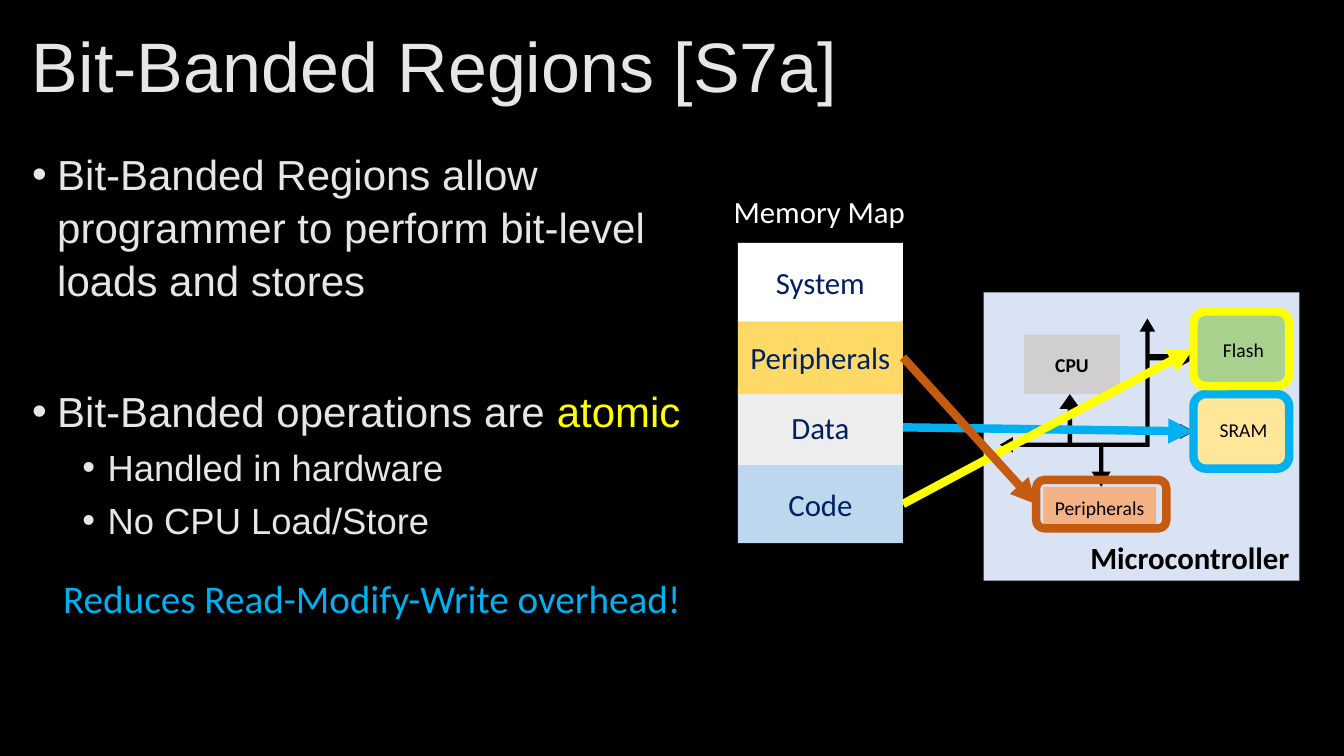
import pptx
import pptx.util
import pptx.dml.color
import pptx.enum.shapes
import pptx.enum.text
import pptx.oxml.ns
import lxml.etree

Pt = pptx.util.Pt
SHAPE = pptx.enum.shapes.MSO_SHAPE
ALIGN = pptx.enum.text.PP_ALIGN
ANCHOR = pptx.enum.text.MSO_ANCHOR
qn = pptx.oxml.ns.qn
SKY, YELLOW, RUST = "00B0F0", "FFFF00", "C55A11"
BLACK, NAVY, LIGHT = "000000", "002060", "E7E6E6"


def color(hex_string):
    return pptx.dml.color.RGBColor.from_string(hex_string)


def style_runs(para, size, hex_string, font="Calibri", bold=False):
    for span in para.runs:
        span.font.name = font
        span.font.size = Pt(size)
        span.font.bold = bold
        span.font.color.rgb = color(hex_string)


def add_text(page, box, text, size, hex_string, font="Calibri", wrap=True):
    frame = page.shapes.add_textbox(*map(Pt, box)).text_frame
    frame.word_wrap = wrap
    frame.text = text
    style_runs(frame.paragraphs[0], size, hex_string, font)
    return frame


def add_block(page, kind, box, fill, adjustments=(), rotation=0):
    shape = page.shapes.add_shape(kind, *map(Pt, box))
    shape.shadow.inherit = False
    shape.line.fill.background()
    shape.fill.solid()
    shape.fill.fore_color.rgb = color(fill)
    for index, value in enumerate(adjustments):
        shape.adjustments[index] = value
    shape.rotation = rotation
    return shape


def label(shape, text, size, hex_string, bold=False, align=ALIGN.CENTER, anchor=ANCHOR.MIDDLE):
    frame = shape.text_frame
    frame.text = text
    frame.vertical_anchor = anchor
    frame.paragraphs[0].alignment = align
    style_runs(frame.paragraphs[0], size, hex_string, bold=bold)


def add_frame(page, box, hex_string):
    frame = add_block(page, SHAPE.ROUNDED_RECTANGLE, box, BLACK)
    frame.fill.background()
    frame.line.color.rgb = color(hex_string)
    frame.line.width = Pt(6)
    return frame


def add_title(page, box):
    frame = add_text(page, box, "Bit-Banded Regions [S7a]", 50, LIGHT, "Arial")
    frame.vertical_anchor = ANCHOR.MIDDLE
    frame.paragraphs[0].line_spacing = 0.9


def add_bullets(page, box):
    lines = [
        ("Bit-Banded Regions allow programmer to perform bit-level loads and stores", 30, 18, 0),
        ("Bit-Banded operations are ", 30, 18, 56),
        ("Handled in hardware", 26, 54, 5),
        ("No CPU Load/Store", 26, 54, 5),
    ]
    frame = add_text(page, box, "\n".join(line[0] for line in lines), 30, LIGHT, "Arial")
    for para, (text, size, margin, space) in zip(frame.paragraphs, lines):
        para.line_spacing = 1.05
        para.space_before = Pt(space)
        style_runs(para, size, LIGHT, "Arial")
        properties = para._p.get_or_add_pPr()
        properties.set("marL", str(Pt(margin)))
        properties.set("indent", str(-Pt(18)))
        lxml.etree.SubElement(properties, qn("a:buFont")).set("typeface", "Arial")
        lxml.etree.SubElement(properties, qn("a:buChar")).set("char", "•")
    atomic = frame.paragraphs[1].add_run()
    atomic.text = "atomic"
    atomic.font.name = "Arial"
    atomic.font.size = Pt(30)
    atomic.font.color.rgb = color(YELLOW)


def add_memory_map(page, box):
    left, top, width = box
    add_text(page, (left - 10, top - 39.5, 138, 34), "Memory Map", 22, "FFFFFF", wrap=False)
    regions = {}
    for name, offset, height, fill in [
        ("Code", 158.5, 56, "BDD7EE"),
        ("Data", 105, 53.5, "EDEDED"),
        ("Peripherals", 55.5, 52.5, "FFD966"),
        ("System", 0, 56, "FFFFFF"),
    ]:
        region = add_block(page, SHAPE.RECTANGLE, (left, top + offset, width, height), fill)
        label(region, name, 22, NAVY)
        regions[name] = region
    return regions


def add_microcontroller(page, box):
    left, top, width, height = box

    def inside(x, y, part_width, part_height):
        return left + x, top + y, part_width, part_height

    board = add_block(page, SHAPE.RECTANGLE, box, "DAE3F3")
    label(board, "Microcontroller", 22, BLACK, True, ALIGN.RIGHT, ANCHOR.BOTTOM)
    for kind, part, adjustments, rotation in [
        (SHAPE.LEFT_UP_ARROW, (11.5, 18.7, 111, 95.8), (0.032, 0.058, 0.098), 0),
        (SHAPE.UP_ARROW, (54, 72.7, 15, 36.7), (0.222, 0.708), 0),
        (SHAPE.UP_ARROW, (129, 28.8, 11.5, 35.3), (0.382, 0.936), 90),
        (SHAPE.UP_ARROW, (128.2, 82.8, 10.8, 33.1), (0.382, 0.936), 90),
        (SHAPE.UP_ARROW, (77, 109.4, 13.7, 29.5), (0.222, 0.795), 180),
    ]:
        add_block(page, kind, inside(*part), BLACK, adjustments, rotation)
    for name, part, fill in [
        ("Flash", (152, 15.8, 67, 50.4), "A9D18E"),
        ("SRAM", (152, 72.7, 67, 50.4), "FFE699"),
        ("CPU", (28.8, 30.2, 68.4, 42.5), "D0CECE"),
        ("Peripherals", (42.5, 139, 80.6, 30.2), "F4B183"),
    ]:
        block = add_block(page, SHAPE.RECTANGLE, inside(*part), fill)
        label(block, name, 14, BLACK, bold=name == "CPU")
    return {
        "Data": add_frame(page, inside(149.8, 72.7, 68.4, 53.3), SKY),
        "Code": add_frame(page, inside(149.8, 13.7, 68.4, 53.3), YELLOW),
        "Peripherals": add_frame(page, inside(37.4, 134, 93, 34.6), RUST),
    }


def add_mapping(page, region, frame, hex_string):
    arrow = page.shapes.add_connector(pptx.enum.shapes.MSO_CONNECTOR.STRAIGHT, 0, 0, 0, 0)
    arrow.begin_connect(region, 3)
    arrow.end_connect(frame, 1)
    arrow.line.color.rgb = color(hex_string)
    arrow.line.width = Pt(6)
    lxml.etree.SubElement(arrow.line._get_or_add_ln(), qn("a:tailEnd")).set("type", "triangle")
    lxml.etree.SubElement(arrow._element.spPr, qn("a:effectLst"))


def main():
    deck = pptx.Presentation()
    deck.slide_width, deck.slide_height = Pt(960), Pt(540)
    page = deck.slides.add_slide(deck.slide_layouts[6])
    page.background.fill.solid()
    page.background.fill.fore_color.rgb = color(BLACK)
    add_title(page, (15.8, 15, 928, 70))
    add_bullets(page, (15.8, 100.8, 525, 300))
    add_text(page, (38, 407, 461.5, 41), "Reduces Read-Modify-Write overhead!", 28, SKY, wrap=False)
    frames = add_microcontroller(page, (702.7, 208.8, 225.4, 206))
    regions = add_memory_map(page, (527, 173.5, 118))
    for name, hex_string in [("Data", SKY), ("Code", YELLOW), ("Peripherals", RUST)]:
        add_mapping(page, regions[name], frames[name], hex_string)
    deck.save("out.pptx")


if __name__ == "__main__":
    main()
